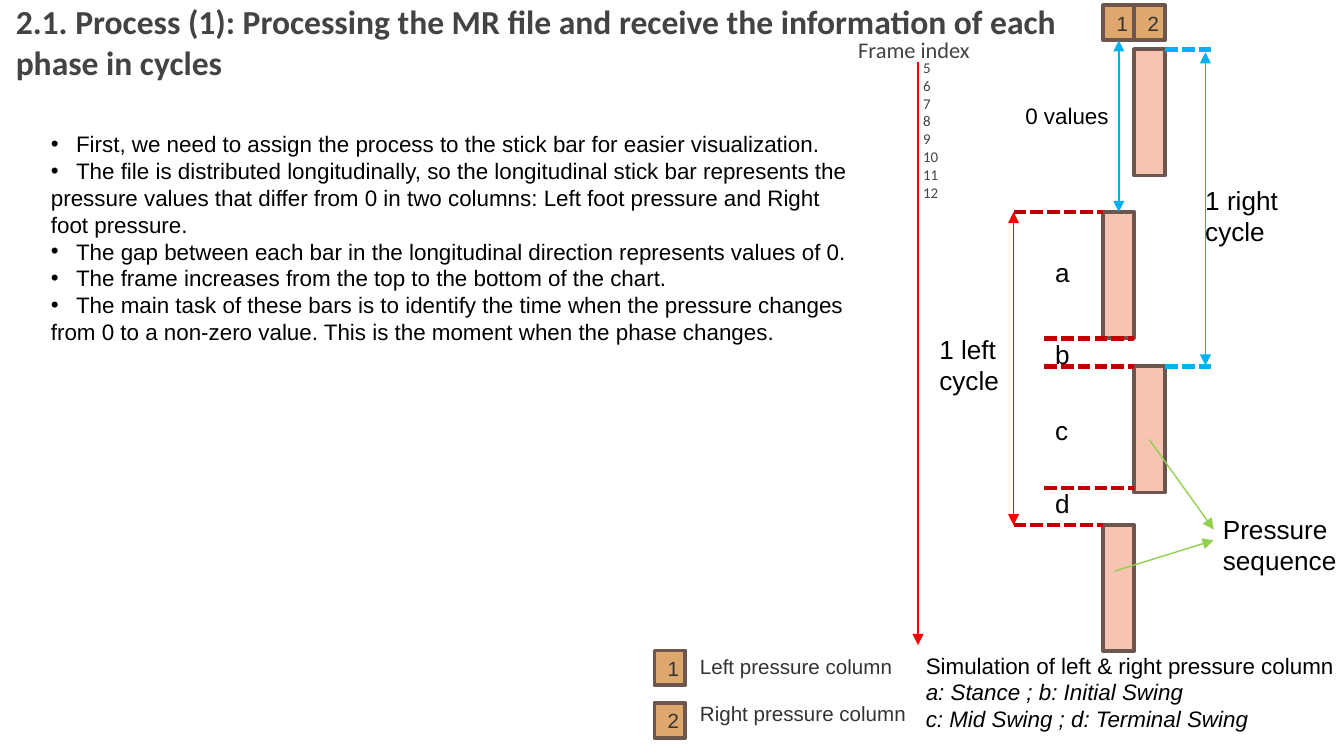
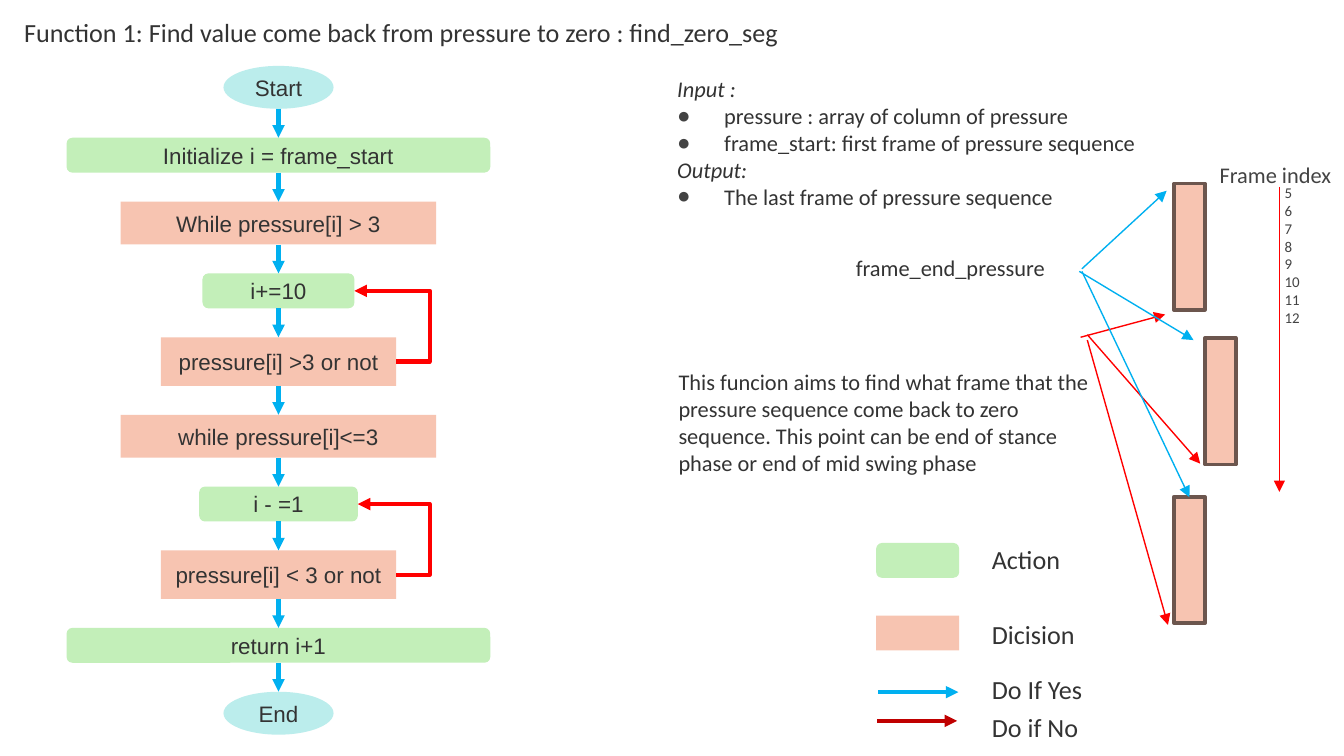
import dataclasses
import typing

import lxml.etree
import pptx
import pptx.dml.color
import pptx.enum.dml
import pptx.enum.shapes
import pptx.enum.text
import pptx.oxml.ns
import pptx.util

Pt = pptx.util.Pt
qn = pptx.oxml.ns.qn
SHAPES = pptx.enum.shapes.MSO_SHAPE
LINKS = pptx.enum.shapes.MSO_CONNECTOR
ALIGN = pptx.enum.text.PP_ALIGN

# Shared colours and measures
BLACK, DARK, GREY = "000000", "333333", "434343"
PINK, BROWN, TAN, GREEN, AQUA = "F7C4B1", "6C564E", "DDA76E", "C3EFB9", "BBEDEC"
BLUE, RED, DEEP_RED, LIME = "00B0F0", "FF0000", "C00000", "92D050"
COLUMN_WIDTH, BAR_HEIGHT, CELL_HEIGHT = 16.6, 67.7, 18.7
INDENT = 10.8
THIN, THICK = 0.75, 2.25
TOP, BOTTOM, RIGHT = 0, 2, 3


class Box(typing.NamedTuple):
    left: float
    top: float
    width: float
    height: float


class Line(typing.NamedTuple):
    text: str
    italic: bool = False
    bullet: str = ""
    left: float = 0
    hang: float = 0


@dataclasses.dataclass(frozen=True)
class Node:
    text: str
    kind: int
    color: str
    width: float
    height: float


def rgb(color: str):
    return pptx.dml.color.RGBColor.from_string(color)


def points(*values: float) -> list:
    return [Pt(value) for value in values]


def write(frame, lines, *, size=12, font="Arial", color=BLACK, bold=False,
          align=ALIGN.LEFT, indent=0.0, bullet_color=BLACK) -> None:
    """Fill a text frame with one paragraph for each line."""
    for index, item in enumerate(lines):
        line = Line(item) if isinstance(item, str) else item
        para = frame.paragraphs[0] if index == 0 else frame.add_paragraph()
        para.alignment = align
        settings = para._p.get_or_add_pPr()
        settings.set("marL", str(int(Pt(line.left or indent))))
        settings.set("indent", str(int(Pt(-line.hang))))
        if line.bullet:
            tint = lxml.etree.SubElement(settings, qn("a:buClr"))
            lxml.etree.SubElement(tint, qn("a:srgbClr")).set("val", bullet_color)
            lxml.etree.SubElement(settings, qn("a:buFont")).set("typeface", "Arial")
            lxml.etree.SubElement(settings, qn("a:buChar")).set("char", line.bullet)
        span = para.add_run()
        span.text = line.text
        span.font.size = Pt(size)
        span.font.name = font
        span.font.bold = bold
        span.font.italic = line.italic
        span.font.color.rgb = rgb(color)


def add_label(page, box: Box, *lines, wrap=False, **style) -> None:
    """Text box that grows with its text."""
    frame = page.shapes.add_textbox(*points(*box)).text_frame
    frame.word_wrap = wrap
    frame.auto_size = pptx.enum.text.MSO_AUTO_SIZE.SHAPE_TO_FIT_TEXT
    write(frame, lines, **style)


def add_note(page, box: Box, *lines, indent=INDENT, **style) -> None:
    """Fixed Calibri text box with even margins."""
    frame = page.shapes.add_textbox(*points(*box)).text_frame
    frame.word_wrap = True
    frame.margin_top = frame.margin_bottom = Pt(7.2)
    write(frame, lines, font="Calibri", indent=indent, **style)


def add_block(page, box: Box, fill: str, kind=SHAPES.RECTANGLE, text="",
              outline="", size=12):
    block = page.shapes.add_shape(kind, *points(*box))
    block.shadow.inherit = False
    block.fill.solid()
    block.fill.fore_color.rgb = rgb(fill)
    if outline:
        block.line.color.rgb = rgb(outline)
        block.line.width = Pt(2)
    else:
        block.line.fill.background()
    if text:
        block.text_frame.vertical_anchor = pptx.enum.text.MSO_ANCHOR.MIDDLE
        write(block.text_frame, [text], size=size, color=DARK, align=ALIGN.CENTER)
    return block


def add_line(page, start, end, color: str, width=THIN, *, head=False, tail=False,
             dashed=False, kind=LINKS.STRAIGHT):
    link = page.shapes.add_connector(kind, *points(*start, *end))
    link.line.color.rgb = rgb(color)
    link.line.width = Pt(width)
    if dashed:
        link.line.dash_style = pptx.enum.dml.MSO_LINE.SQUARE_DOT
    outline = link._element.spPr.find(qn("a:ln"))
    for tag, wanted in (("a:headEnd", head), ("a:tailEnd", tail)):
        if wanted:
            lxml.etree.SubElement(outline, qn(tag)).set("type", "triangle")
    lxml.etree.SubElement(link._element.spPr, qn("a:effectLst"))
    return link


def add_bar(page, left: float, top: float) -> None:
    """Upright pressure bar, a lying rectangle turned by a quarter."""
    shift = (BAR_HEIGHT - COLUMN_WIDTH) / 2
    box = Box(left - shift, top + shift, BAR_HEIGHT, COLUMN_WIDTH)
    add_block(page, box, PINK, outline=BROWN).rotation = 270


def add_bars(page, left: float, top: float) -> None:
    """Left, right and left pressure sequence."""
    for column, drop in ((0, 0), (1, 82.8), (0, 167.8)):
        add_bar(page, left + column * COLUMN_WIDTH, top + drop)


def add_cell(page, left: float, top: float, text: str):
    box = Box(left, top, COLUMN_WIDTH, CELL_HEIGHT)
    return add_block(page, box, TAN, text=text, outline=BROWN, size=11)


def add_frame_axis(page, x: float, top: float, bottom: float) -> None:
    add_line(page, (x, top), (x, bottom), RED, tail=True)
    add_note(page, Box(x - 52.6, top - 21, 105, 28), "Frame index",
             color=GREY, indent=INDENT + 2.7)
    add_note(page, Box(x - 15.1, top - 9, 105, 28),
             *[str(frame) for frame in range(5, 13)], size=8, color=GREY)


def build_process(page) -> None:
    left, right = 591.1, 591.1 + COLUMN_WIDTH
    edge = right + COLUMN_WIDTH
    add_bars(page, left, 113.4)
    add_bar(page, right, 26.3)

    # Cycle limits and spans
    for start, end, y, color in (
            (543, left, 113.6, DEEP_RED), (543, left, 281.4, DEEP_RED),
            (559.5, right, 181.4, DEEP_RED), (559.5, right, 196.4, DEEP_RED),
            (559.5, right, 261.4, DEEP_RED),
            (edge, 650.2, 26.5, BLUE), (edge, 650.2, 196.4, BLUE)):
        add_line(page, (start, y), (end, y), color, THICK, dashed=True)
    add_line(page, (543, 113.6), (543, 281.4), RED, head=True, tail=True)
    add_line(page, (645.8, 28), (645.8, 195.8), BLUE, head=True, tail=True)
    add_label(page, Box(496.1, 175, 49, 41), "1 left", "cycle", size=14)
    add_label(page, Box(638.6, 95, 57.6, 41), "1 right", "cycle", size=14)
    for letter, top in zip("abcd", (134, 177.8, 218.2, 257.8)):
        add_label(page, Box(558.2, top, 22, 24.5), letter, size=14)

    # Pressure sequence pointers
    add_line(page, (597, 306), (650.2, 289.5), LIME, tail=True)
    add_line(page, (615.6, 235.4), (650.2, 283.7), LIME, tail=True)
    add_label(page, Box(648, 271.4, 75.6, 41), "Pressure", "sequence", size=14)

    add_label(page, Box(488.9, 345.6, 234.7, 51.1),
              "Simulation of left & right pressure column",
              Line("a: Stance ; b: Initial Swing", italic=True),
              Line("c: Mid Swing ; d: Terminal Swing", italic=True))

    # Title and explanation
    add_note(page, Box(-9.4, -6.5, 607, 54),
             "2.1. Process (1): Processing the MR file and receive the information "
             "of each phase in cycles", size=18, color=GREY, bold=True)

    def point(text: str) -> Line:
        return Line(text, bullet="•", left=13.5, hang=13.5)

    add_label(
        page, Box(20.2, 66.2, 448.6, 123.8),
        point("First, we need to assign the process to the stick bar for easier visualization."),
        point("The file is distributed longitudinally, so the longitudinal stick bar represents the"),
        "pressure values that differ from 0 in two columns: Left foot pressure and Right",
        "foot pressure.",
        point("The gap between each bar in the longitudinal direction represents values of 0."),
        point("The frame increases from the top to the bottom of the chart."),
        point("The main task of these bars is to identify the time when the pressure changes"),
        "from 0 to a non-zero value. This is the moment when the phase changes.")

    add_frame_axis(page, 491.8, 33.1, 345.6)

    # Column heads and the stretch of zeros
    first = add_cell(page, left, 2.9, "1")
    add_cell(page, right, 2.9, "2")
    middle = left + COLUMN_WIDTH / 2
    zeros = add_line(page, (middle, 21.6), (middle, 113.6), BLUE, head=True, tail=True)
    zeros.begin_connect(first, BOTTOM)
    add_label(page, Box(542.2, 51.1, 59.8, 21.6), "0 values")

    # Column legend
    for number, name, cell_top, label_top in (
            ("1", "Left", 348.5, 347), ("2", "Right", 376.6, 372.2)):
        add_cell(page, 350.6, cell_top, number)
        add_label(page, Box(367.9, label_top, 141.8, 20.9),
                  f"{name} pressure column", wrap=True, size=11, color=DARK)


def add_flow(page) -> None:
    """Flowchart on one centre line with equal gaps."""
    center, top, gap, bulge = 149.2, 35.3, 15.5, 18

    def end(text: str) -> Node:
        return Node(text, SHAPES.OVAL, AQUA, 59, 23)

    def action(text: str, width: float) -> Node:
        return Node(text, SHAPES.ROUNDED_RECTANGLE, GREEN, width, 18.7)

    def decision(text: str, width: float, height: float) -> Node:
        return Node(text, SHAPES.RECTANGLE, PINK, width, height)

    nodes = (
        end("Start"), action("Initialize i = frame_start", 227),
        decision("While pressure[i] > 3", 169, 23), action("i+=10", 81.4),
        decision("pressure[i] >3 or not", 126, 26),
        decision("while pressure[i]<=3", 169, 23), action("i - =1", 85),
        decision("pressure[i] < 3 or not", 126, 26),
        action("return i+1", 227), end("End"))
    blocks = []
    for node in nodes:
        box = Box(center - node.width / 2, top, node.width, node.height)
        block = add_block(page, box, node.color, node.kind, node.text)
        if blocks:
            arrow = add_line(page, (center, top - gap), (center, top), BLUE, THICK, tail=True)
            if len(blocks) > 1:
                arrow.begin_connect(blocks[-1], BOTTOM)
            arrow.end_connect(block, TOP)
        blocks.append(block)
        top += node.height + gap

    # Loops back from a decision to the action above it
    for source, target in ((4, 3), (7, 6)):
        loop = add_line(page, (0, 0), (1, 1), RED, THICK, tail=True, kind=LINKS.ELBOW)
        loop.begin_connect(blocks[source], RIGHT)
        loop.end_connect(blocks[target], RIGHT)
        shape = loop._element.spPr.find(qn("a:prstGeom"))
        values = shape.find(qn("a:avLst"))
        if values is None:
            values = lxml.etree.SubElement(shape, qn("a:avLst"))
        guide = lxml.etree.SubElement(values, qn("a:gd"))
        guide.set("name", "adj1")
        guide.set("fmla", f"val {round(-100000 * Pt(bulge) / loop.width)}")


def build_function(page) -> None:
    add_flow(page)

    # Legend
    add_block(page, Box(469.4, 290.9, 44.5, 18.7), GREEN, SHAPES.ROUNDED_RECTANGLE)
    add_block(page, Box(469.4, 329.8, 44.5, 18.7), PINK)
    add_line(page, (470.5, 370.8), (513.4, 370.8), BLUE, THICK, tail=True)
    add_line(page, (470, 386.2), (512.8, 386.2), DEEP_RED, THICK, tail=True)
    for text, label_top in (("Action", 283.7), ("Dicision", 324),
                            ("Do If Yes", 353.5), ("Do if No", 373.7)):
        add_note(page, Box(513.4, label_top, 110, 31), text, size=14, color=DARK)

    # Input, output and purpose
    def point(text: str) -> Line:
        return Line(text, bullet="●", left=36, hang=25.2)

    add_note(page, Box(344.9, 33.1, 294.5, 76.3), Line("Input :", italic=True),
             point("pressure : array of column of pressure"),
             point("frame_start: first frame of pressure sequence"),
             Line("Output:", italic=True),
             point("The last frame of pressure sequence"),
             color=DARK, bullet_color=GREY)
    add_note(page, Box(345.6, 190, 250.6, 38),
             "This funcion aims to find what frame that the pressure sequence come back "
             "to zero sequence. This point can be end of stance phase or end of mid swing "
             "phase", color=DARK)
    add_note(page, Box(-5, 1.4, 438.5, 38),
             "Function 1: Find value come back from pressure to zero : find_zero_seg",
             size=14, color=DARK)

    # Pressure bars with their first and last frames
    add_bars(page, 628.9, 98.3)
    add_frame_axis(page, 685.4, 100.1, 263.5)
    add_label(page, Box(451.4, 132.5, 141.8, 21.6), "frame_end_pressure",
              wrap=True, font="Calibri", color=DARK)
    for start, end, color in (
            ((578.9, 180.7), (624.2, 168.5), RED),
            ((582.5, 182.2), (625.7, 334.8), RED),
            ((582.5, 179.3), (643, 248.4), RED),
            ((579.6, 144), (625, 102.2), BLUE),
            ((578.2, 145.4), (639.4, 182.2), BLUE),
            ((579.6, 145.4), (637.2, 266.4), BLUE)):
        add_line(page, start, end, color, tail=True)


def main() -> None:
    deck = pptx.Presentation()
    deck.slide_width, deck.slide_height = points(720, 405)
    for build in (build_process, build_function):
        build(deck.slides.add_slide(deck.slide_layouts[6]))
    deck.save("out.pptx")


if __name__ == "__main__":
    main()
